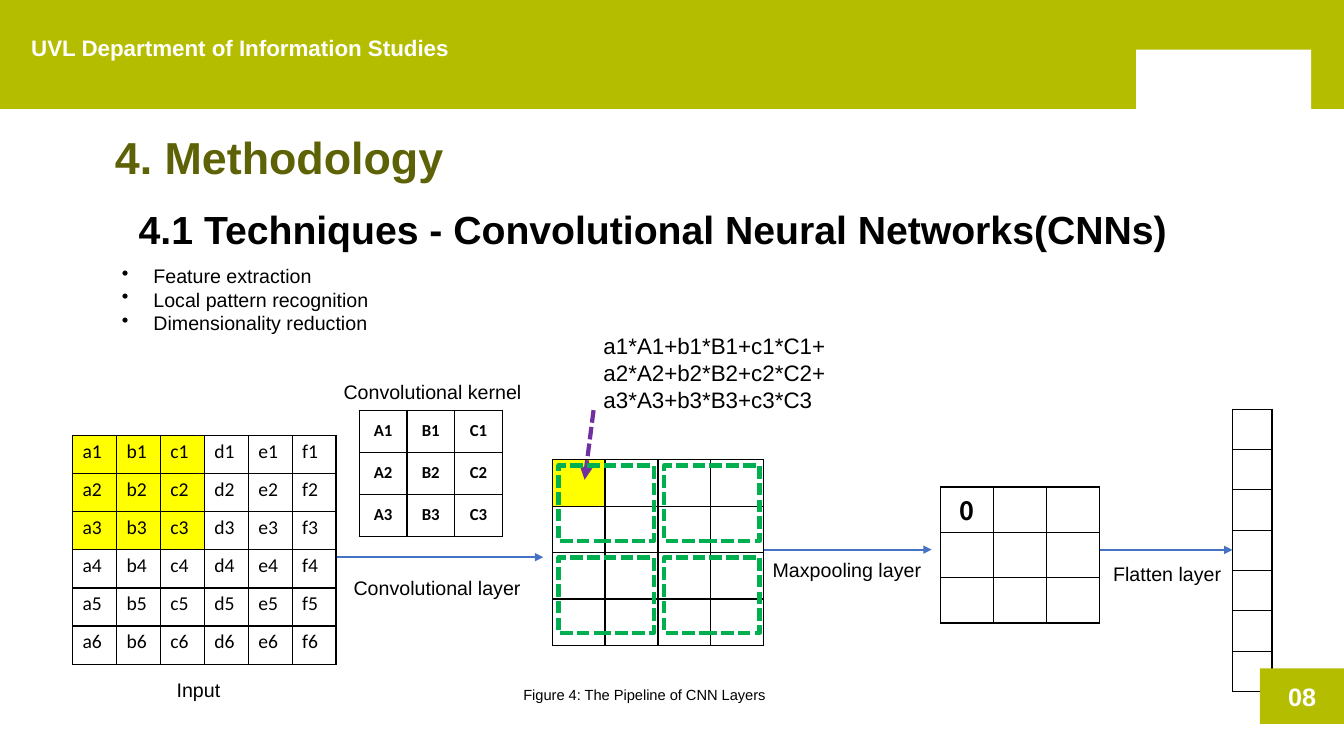
from dataclasses import dataclass

from lxml.etree import SubElement
from pptx import Presentation
from pptx.dml.color import RGBColor
from pptx.enum.dml import MSO_LINE
from pptx.enum.shapes import MSO_CONNECTOR, MSO_SHAPE
from pptx.enum.text import MSO_ANCHOR, PP_ALIGN
from pptx.oxml import parse_xml
from pptx.oxml.ns import nsdecls, qn
from pptx.util import Pt


@dataclass(frozen=True)
class Theme:
    font: str = "Arial"
    grid_font: str = "Calibri"
    pool_font: str = "Noto Sans CJK SC"
    lime: str = "B5BD00"
    olive: str = "5D6207"
    black: str = "000000"
    white: str = "FFFFFF"
    yellow: str = "FFFF00"
    green: str = "00B050"
    purple: str = "7030A0"
    blue: str = "4472C4"
    title: float = 32
    subtitle: float = 28
    number: float = 18
    heading: float = 16
    body: float = 14
    kernel: float = 12
    caption: float = 10.5


T = Theme()


def rgb(color):
    return RGBColor.from_string(color)


def style(p, size, color=T.black, bold=False, align=PP_ALIGN.LEFT, font=T.font):
    p.alignment = align
    p.font.name = font
    p.font.size = Pt(size)
    p.font.bold = bold
    p.font.color.rgb = rgb(color)


def add_text(s, text, x, y, w, h, size, spacing=None, inset=None, **look):
    tf = s.shapes.add_textbox(Pt(x), Pt(y), Pt(w), Pt(h)).text_frame
    tf.word_wrap = True
    if inset is not None:
        tf.margin_left = tf.margin_right = tf.margin_top = tf.margin_bottom = Pt(inset)
    tf.text = text
    for p in tf.paragraphs:
        style(p, size, **look)
        if spacing:
            p.line_spacing = spacing
    return tf


def add_bullets(s, items, x, y, w, h):
    tf = add_text(s, "\n".join(items), x, y, w, h, T.body)
    for p in tf.paragraphs:
        pPr = p._p.get_or_add_pPr()
        pPr.set("marL", str(Pt(22.5)))
        pPr.set("indent", str(Pt(-22.5)))
        pPr.insert_element_before(
            parse_xml(f'<a:buChar {nsdecls("a")} char="•"/>'), "a:tabLst", "a:defRPr", "a:extLst")


def add_block(s, x, y, w, h, fill):
    sp = s.shapes.add_shape(MSO_SHAPE.RECTANGLE, Pt(x), Pt(y), Pt(w), Pt(h))
    sp.shadow.inherit = False
    sp.fill.solid()
    sp.fill.fore_color.rgb = rgb(fill)
    sp.line.fill.background()
    return sp


def add_window(s, x, y, w, h):
    sp = s.shapes.add_shape(MSO_SHAPE.RECTANGLE, Pt(x), Pt(y), Pt(w), Pt(h))
    sp.shadow.inherit = False
    sp.fill.background()
    sp.line.color.rgb = rgb(T.green)
    sp.line.width = Pt(3)
    sp.line.dash_style = MSO_LINE.SQUARE_DOT


def add_arrow(s, x1, y1, x2, y2, color=T.blue, width=1.5, dash=None):
    c = s.shapes.add_connector(MSO_CONNECTOR.STRAIGHT, Pt(x1), Pt(y1), Pt(x2), Pt(y2))
    c.line.color.rgb = rgb(color)
    c.line.width = Pt(width)
    if dash:
        c.line.dash_style = dash
    SubElement(c.line._get_or_add_ln(), qn("a:tailEnd"), type="triangle")
    SubElement(c._element.spPr, qn("a:effectLst"))


def add_borders(cell):
    tcPr = cell._tc.get_or_add_tcPr()
    for i, side in enumerate(("lnL", "lnR", "lnT", "lnB")):
        tcPr.insert(i, parse_xml(
            f'<a:{side} {nsdecls("a")} w="{Pt(1)}"><a:solidFill>'
            f'<a:srgbClr val="{T.black}"/></a:solidFill></a:{side}>'))


def add_grid(s, x, y, cols, rows, col_w, row_h, label=None, marked=0,
             size=T.body, anchor=MSO_ANCHOR.TOP, **look):
    table = s.shapes.add_table(
        rows, cols, Pt(x), Pt(y), Pt(cols * col_w), Pt(rows * row_h)).table
    table.first_row = table.horz_banding = False
    for col in table.columns:
        col.width = Pt(col_w)
    for r, row in enumerate(table.rows):
        row.height = Pt(row_h)
        for c, cell in enumerate(row.cells):
            cell.text = label(r, c) if label else ""
            cell.vertical_anchor = anchor
            cell.margin_top = cell.margin_bottom = Pt(3)
            style(cell.text_frame.paragraphs[0], size, **look)
            cell.fill.solid()
            cell.fill.fore_color.rgb = rgb(T.yellow if max(r, c) < marked else T.white)
            add_borders(cell)


def add_header(s):
    add_block(s, 0, 0, 960, 77.8, T.lime)
    add_block(s, 811.5, 35.5, 125, 42.3, T.white)
    add_text(s, "UVL Department of Information Studies", 22.3, 28, 576, 31,
             T.heading, spacing=0.8, inset=0, color=T.white, bold=True)


def add_page_number(s, text):
    sp = add_block(s, 900, 477.4, 60, 39.6, T.lime)
    tf = sp.text_frame
    tf.text = text
    tf.vertical_anchor = MSO_ANCHOR.MIDDLE
    style(tf.paragraphs[0], T.number, T.white, True, PP_ALIGN.CENTER)


def add_pipeline(s):
    centred = dict(bold=True, align=PP_ALIGN.CENTER, anchor=MSO_ANCHOR.MIDDLE)
    add_grid(s, 51.8, 311, 6, 6, 31.4, 27.25, lambda r, c: f"{'abcdef'[c]}{r + 1}",
             marked=3, font=T.grid_font)
    add_grid(s, 256.6, 293, 3, 3, 34.1, 30, lambda r, c: f"{'ABC'[c]}{r + 1}",
             size=T.kernel, font=T.grid_font, **centred)
    add_grid(s, 394.4, 328.3, 4, 4, 37.8, 33.2, marked=1)
    add_text(s, "a1*A1+b1*B1+c1*C1+a2*A2+b2*B2+c2*C2+a3*A3+b3*B3+c3*C3",
             424, 234, 175, 65.5, T.heading)
    add_arrow(s, 424, 293, 417.6, 342.7, T.purple, 3, MSO_LINE.SQUARE_DOT)
    for row in range(2):
        for col in range(2):
            add_window(s, 399 + 75.5 * col, 332.5 + 65.7 * row, 68, 54)
    add_grid(s, 671.8, 347.8, 3, 3, 37.8, 32.4,
             lambda r, c: "0" if r == c == 0 else "",
             size=T.number, font=T.pool_font, **centred)
    add_grid(s, 880.4, 292.3, 1, 7, 28.2, 28.8)

    for x1, x2, y in ((240.5, 388, 398), (545.8, 665.5, 392.6), (785.5, 880.4, 392.8)):
        add_arrow(s, x1, y, x2, y)
    add_text(s, "Convolutional kernel", 238.3, 267.8, 188, 25, T.body)
    for text, x, y, w in (
        ("Convolutional layer", 241, 407.5, 142.5),
        ("Maxpooling layer", 540, 395.3, 130),
        ("Flatten layer", 774, 397.5, 119.5),
        ("Input", 70.5, 481, 142.5),
    ):
        add_text(s, text, x, y, w, 25, T.body, align=PP_ALIGN.CENTER)


def main():
    prs = Presentation()
    prs.slide_width, prs.slide_height = Pt(960), Pt(540)
    s = prs.slides.add_slide(prs.slide_layouts[6])
    add_header(s)
    add_pipeline(s)
    add_bullets(s, ("Feature extraction", "Local pattern recognition",
                    "Dimensionality reduction"), 80, 185, 480, 58)
    add_text(s, "Figure 4: The Pipeline of CNN Layers", 315.4, 486.7, 290, 20,
             T.caption, align=PP_ALIGN.CENTER)
    add_page_number(s, "08")
    add_text(s, "4. Methodology", 75, 93.6, 828, 46, T.title,
             spacing=0.9, color=T.olive, bold=True)
    add_text(s, "4.1 Techniques - Convolutional Neural Networks(CNNs)",
             92, 143.3, 860, 42, T.subtitle, bold=True)
    prs.save("out.pptx")


if __name__ == "__main__":
    main()
